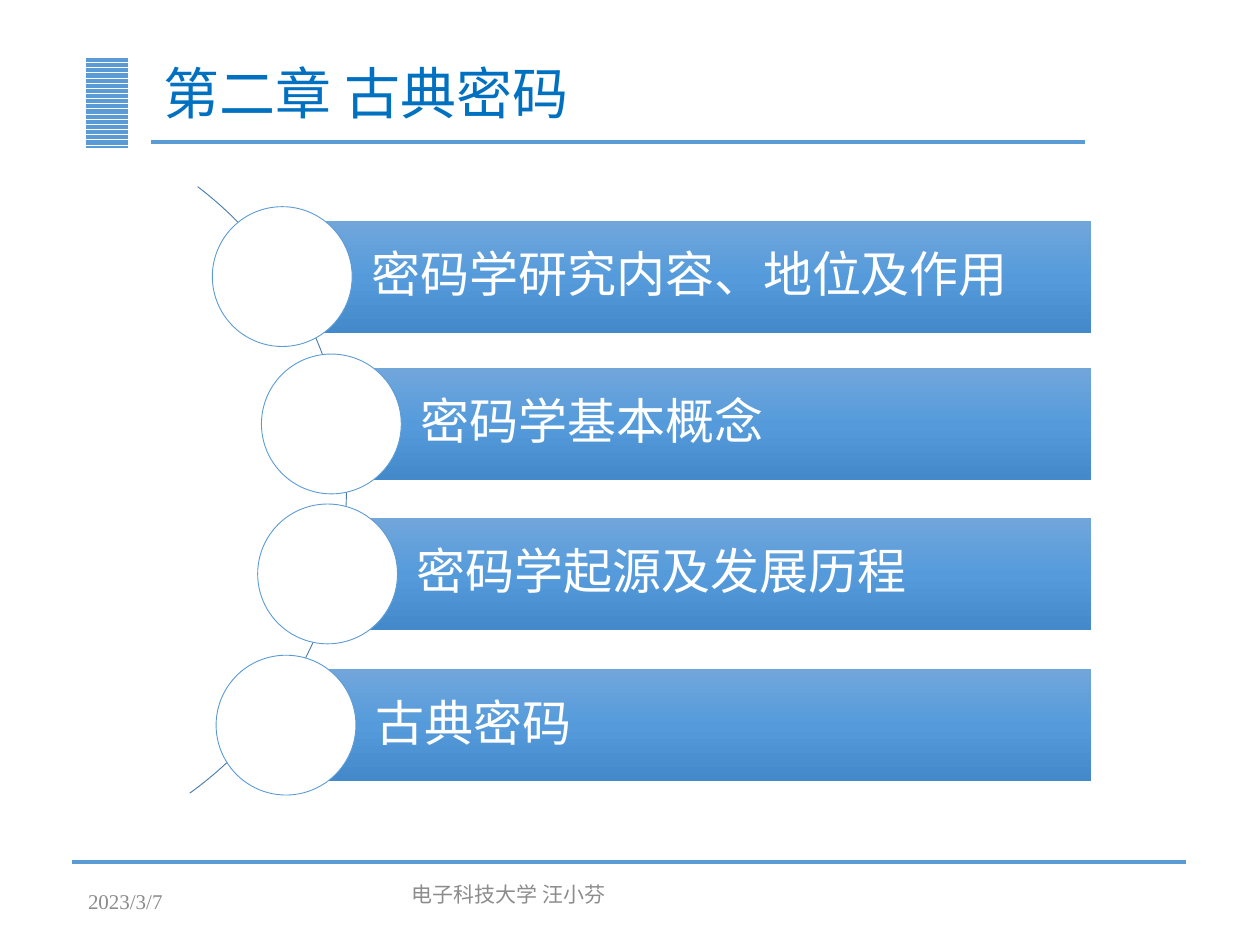
"""Build the chapter overview slide on classical cryptography."""
from copy import deepcopy

from lxml.etree import SubElement
from pptx import Presentation
from pptx.dml.color import RGBColor
from pptx.enum.dml import MSO_PATTERN
from pptx.enum.shapes import MSO_CONNECTOR, MSO_SHAPE
from pptx.enum.text import MSO_ANCHOR, PP_ALIGN
from pptx.oxml.ns import qn
from pptx.util import Inches, Pt

COLORS = {
    "accent": "5B9BD5", "title": "0070C0", "arc": "497CAB", "white": "FFFFFF",
    "footer": "8C8C8C", "bar_top": "71A6DB", "bar_middle": "559BDB", "bar_bottom": "448ACA",
}
CJK = "Noto Sans CJK SC"
SERIF = "Times New Roman"


def rgb(name):
    return RGBColor.from_string(COLORS[name])


def write(frame, text, size, font, color, anchor=MSO_ANCHOR.MIDDLE, spacing=None):
    frame.text = text
    frame.word_wrap = True
    frame.vertical_anchor = anchor
    paragraph = frame.paragraphs[0]
    paragraph.alignment = PP_ALIGN.LEFT
    paragraph.line_spacing = spacing
    run = paragraph.runs[0]
    run.font.size = Pt(size)
    run.font.name = font
    run.font.color.rgb = rgb(color)
    SubElement(run.font._element, qn("a:ea"), typeface=CJK)


prs = Presentation()
prs.slide_width, prs.slide_height = Inches(10), Inches(7.5)
slide = prs.slides.add_slide(prs.slide_layouts[5])
shapes = slide.shapes

stripes = shapes.add_shape(MSO_SHAPE.RECTANGLE, Inches(0.68), Inches(0.45), Inches(0.34), Inches(0.72))
stripes.shadow.inherit = False
stripes.fill.patterned()
stripes.fill.pattern = MSO_PATTERN.DARK_HORIZONTAL
stripes.fill.fore_color.rgb = rgb("accent")
stripes.fill.back_color.rgb = rgb("white")
stripes.line.fill.background()

for left, right, y in [(1.2, 8.61, 1.13), (0.57, 9.41, 6.84)]:
    rule = shapes.add_connector(MSO_CONNECTOR.STRAIGHT, Inches(left), Inches(y), Inches(right), Inches(y))
    rule.line.color.rgb = rgb("accent")
    rule.line.width = Pt(2.25)
    SubElement(rule._element.spPr, qn("a:effectLst"))

title = shapes.title
title.left, title.top, title.width, title.height = Inches(1.2), Inches(0.4), Inches(7.41), Inches(0.73)
write(title.text_frame, "第二章 古典密码", 32, CJK, "title", spacing=0.9)

arc = shapes.add_shape(MSO_SHAPE.BLOCK_ARC, Inches(-3.24), Inches(0.87), Inches(5.99), Inches(5.99))
arc.shadow.inherit = False
for index, value in enumerate([184.394, 32.517, 0]):
    arc.adjustments[index] = value
arc.fill.background()
arc.line.color.rgb = rgb("arc")
arc.line.width = Pt(0.5)

topics = [
    ("密码学研究内容、地位及作用", CJK, 2.24, 1.75),
    ("密码学基本概念", SERIF, 2.63, 2.92),
    ("密码学起源及发展历程", CJK, 2.6, 4.11),
    ("古典密码", CJK, 2.27, 5.31),
]
bar_right, bar_height, diameter = 8.66, 0.89, 1.11
for text, font, left, top in topics:
    bar = shapes.add_shape(
        MSO_SHAPE.RECTANGLE, Inches(left), Inches(top), Inches(bar_right - left), Inches(bar_height))
    bar.shadow.inherit = False
    bar.line.fill.background()
    bar.fill.gradient()
    bar.fill.gradient_angle = 270
    stop_list = bar._element.spPr.find(qn("a:gradFill")).find(qn("a:gsLst"))
    stop_list.insert(1, deepcopy(stop_list[0]))
    for stop, position, color in zip(
            bar.fill.gradient_stops, (0, 0.5, 1), ("bar_top", "bar_middle", "bar_bottom")):
        stop.position = position
        stop.color.rgb = rgb(color)
    frame = bar.text_frame
    frame.margin_left = Inches(0.71)
    frame.margin_top = frame.margin_right = frame.margin_bottom = Inches(0.07)
    write(frame, text, 28, font, "white", spacing=0.9)

    circle = shapes.add_shape(
        MSO_SHAPE.OVAL, Inches(left - diameter / 2), Inches(top + (bar_height - diameter) / 2),
        Inches(diameter), Inches(diameter))
    circle.shadow.inherit = False
    circle.fill.solid()
    circle.fill.fore_color.rgb = rgb("white")
    circle.line.color.rgb = rgb("accent")
    circle.line.width = Pt(0.5)

footers = [
    ("电子科技大学 汪小芬", 3.17, 3.62, MSO_ANCHOR.TOP),
    ("2023/3/7", 0.6, 2.25, MSO_ANCHOR.MIDDLE),
]
for text, left, width, anchor in footers:
    footer = shapes.add_textbox(Inches(left), Inches(6.95), Inches(width), Inches(0.4))
    write(footer.text_frame, text, 12, SERIF, "footer", anchor)

prs.save("out.pptx")
